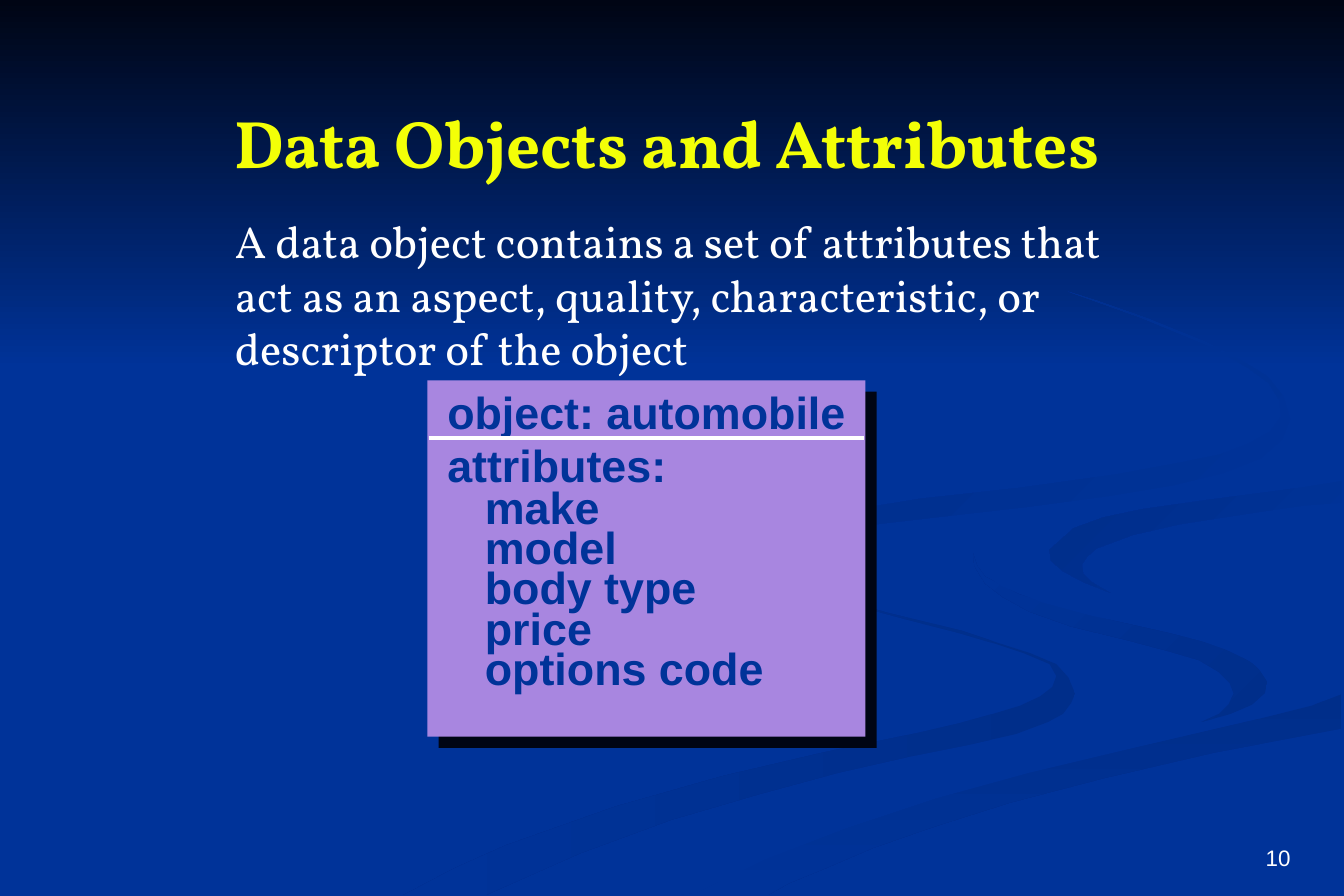
from lxml.etree import SubElement
from pptx import Presentation
from pptx.dml.color import RGBColor
from pptx.enum.shapes import MSO_CONNECTOR as Connector, MSO_SHAPE as Shape
from pptx.enum.text import MSO_ANCHOR as Anchor, PP_ALIGN as Align
from pptx.oxml.ns import qn
from pptx.util import Pt

PX = 9144
WIDTH, HEIGHT = 1000, 666.5
BLUE, NIGHT, SWIRL = "003399", "000514", "002E8A"
WHITE, YELLOW, PURPLE = "FFFFFF", "F3FF07", "A886E0"
SERIF, SANS = "Vollkorn", "Arial"

LOWER_RIBBON = [
    (781, 492), (767, 486), (745, 479), (715, 469), (661, 456), (626, 446), (602, 436),
    (587, 427), (579, 421), (575, 415), (575, 408), (570, 416), (572, 423), (581, 430),
    (602, 440), (631, 449), (679, 462), (714, 471), (741, 479), (762, 486), (781, 494),
    (786, 503), (783, 511), (774, 518), (759, 525), (739, 531), (714, 538), (684, 545),
    (616, 559), (539, 577), (458, 600), (376, 629), (338, 646), (300, 666), (361, 666),
    (431, 635), (499, 610), (564, 591), (623, 575), (676, 563), (721, 554), (756, 546),
    (780, 537), (791, 531), (797, 523), (800, 516), (795, 504), (786, 494)]
INNER_CURL = [
    (943, 507), (939, 500), (930, 492), (905, 480), (870, 471), (830, 462), (792, 452),
    (758, 442), (733, 429), (727, 421), (724, 412), (725, 421), (733, 434), (746, 444),
    (766, 455), (797, 466), (838, 476), (868, 484), (892, 491), (907, 500), (915, 508),
    (918, 516), (914, 524), (907, 531), (894, 537), (916, 531), (932, 524), (941, 516)]
FOOT_BAND = [
    (519, 664), (503, 666), (571, 666), (587, 657), (614, 646), (649, 631), (695, 615),
    (752, 597), (821, 579), (903, 560), (998, 542), (998, 516), (976, 525), (936, 535),
    (867, 551), (797, 567), (764, 575), (696, 594), (630, 616), (569, 639)]
MAIN_RIBBON = [
    (725, 412), (731, 426), (745, 436), (775, 448), (812, 458), (851, 466), (889, 475),
    (920, 486), (935, 495), (943, 507), (942, 515), (931, 525), (911, 533), (881, 541),
    (843, 549), (780, 563), (704, 582), (619, 608), (526, 644), (477, 666), (503, 666),
    (519, 664), (570, 639), (630, 616), (696, 594), (765, 575), (832, 559), (904, 542),
    (951, 531), (986, 521), (999, 516), (999, 479), (959, 472), (904, 461), (848, 448),
    (804, 431), (786, 421), (781, 411), (786, 403), (800, 393), (822, 385), (850, 379),
    (899, 372), (968, 363), (999, 358), (999, 344), (942, 354), (874, 363), (808, 371),
    (770, 379), (742, 390), (730, 400)]
UPPER_CURL = [
    (781, 409), (782, 417), (791, 425), (806, 433), (826, 441), (812, 433), (806, 427),
    (805, 420), (809, 414), (816, 408), (843, 398), (878, 390), (936, 381), (971, 376),
    (998, 374), (998, 358), (967, 363), (898, 372), (849, 379), (821, 385), (799, 393)]
TOP_RIBBON = [
    (695, 385), (765, 377), (825, 369), (873, 361), (910, 352), (938, 341), (954, 327),
    (960, 312), (955, 295), (943, 280), (922, 267), (896, 254), (854, 237), (817, 224),
    (795, 217), (848, 236), (899, 257), (929, 274), (944, 285), (952, 298), (953, 310),
    (945, 321), (929, 330), (908, 338), (879, 344), (830, 353), (758, 363), (685, 371),
    (636, 379), (597, 388), (570, 399), (561, 412), (566, 422), (578, 431), (595, 437),
    (618, 444), (599, 436), (586, 427), (582, 419), (585, 411), (598, 404), (620, 397),
    (652, 390)]
SWIRLS = [
    (LOWER_RIBBON, SWIRL, BLUE, 180), (INNER_CURL, SWIRL, BLUE, 225),
    (FOOT_BAND, SWIRL, BLUE, 90), (MAIN_RIBBON, BLUE, BLUE, 0),
    (UPPER_CURL, BLUE, SWIRL, 225), (TOP_RIBBON, BLUE, SWIRL, 225)]


def rgb(value):
    """Turn a hex string into a colour."""
    return RGBColor.from_string(value)


def emu(*lengths):
    """Turn px lengths into EMU."""
    return [round(length * PX) for length in lengths]


def blend(shape, first, last, angle):
    """Fill a shape with a two-colour gradient running at a clockwise angle."""
    shape.shadow.inherit = False
    shape.line.fill.background()
    shape.fill.gradient()
    shape.fill.gradient_angle = (360 - angle) % 360
    for stop, colour in zip(shape.fill.gradient_stops, (first, last)):
        stop.color.rgb = rgb(colour)


def add_text(page, box, lines, font, size, colour, bold=False, align=Align.LEFT,
             anchor=Anchor.TOP, wrap=True):
    """Add a text box of (text, indent px, line spacing) paragraphs."""
    frame = page.shapes.add_textbox(*emu(*box)).text_frame
    frame.word_wrap = wrap
    frame.vertical_anchor = anchor
    for index, (text, indent, spacing) in enumerate(lines):
        para = frame.add_paragraph() if index else frame.paragraphs[0]
        para.alignment = align
        para.line_spacing = spacing
        if indent:
            para._p.get_or_add_pPr().set("marL", str(indent * PX))
        span = para.add_run()
        span.text = text
        span.font.name = font
        span.font.size = Pt(size)
        span.font.bold = bold
        span.font.color.rgb = rgb(colour)


def add_backdrop(page, box):
    """Paint the blue ground, the dark upper fade and the swirls."""
    left, top, width, _ = box
    page.background.fill.solid()
    page.background.fill.fore_color.rgb = rgb(BLUE)
    fade = page.shapes.add_shape(Shape.RECTANGLE, *emu(left, top, width, 274))
    blend(fade, NIGHT, BLUE, 90)
    for points, first, last, angle in SWIRLS:
        start, *rest = [(left + x, top + y) for x, y in points]
        builder = page.shapes.build_freeform(*start, scale=PX)
        builder.add_line_segments(rest, close=True)
        blend(builder.convert_to_shape(), first, last, angle)


def add_shadow(shape, colour, distance, angle):
    """Give a shape a hard offset shadow."""
    shape.shadow.inherit = False
    effects = shape._element.spPr.find(qn("a:effectLst"))
    shadow = SubElement(effects, qn("a:outerShdw"), dist=str(Pt(distance)),
                        dir=str(angle * 60000), algn="ctr", rotWithShape="0")
    SubElement(shadow, qn("a:srgbClr"), val=colour)


def add_object_card(page, box, name, attributes):
    """Draw a data object as a card with a ruled heading and its attributes."""
    left, top, width, height = box
    card = page.shapes.add_shape(Shape.RECTANGLE, *emu(*box))
    card.fill.solid()
    card.fill.fore_color.rgb = rgb(PURPLE)
    card.line.fill.background()
    add_shadow(card, NIGHT, 8.5, 45)
    lines = [(f"object: {name}", 0, None), ("attributes:", 0, None)]
    lines += [(attribute, 28, 0.75) for attribute in attributes]
    add_text(page, (left + 5, top - 2, width - 10, height - 25), lines, SANS, 24, BLUE,
             bold=True, wrap=False)
    rule = page.shapes.add_connector(
        Connector.STRAIGHT, *emu(left + 1, top + 43, left + width - 1, top + 43))
    rule.line.color.rgb = rgb(WHITE)
    rule.line.width = Pt(2)
    SubElement(rule._element.spPr, qn("a:effectLst"))


def main():
    """Build and save the slide."""
    deck = Presentation()
    deck.slide_width, deck.slide_height = emu(WIDTH, HEIGHT)
    page = deck.slides.add_slide(deck.slide_layouts[6])
    add_backdrop(page, (0, 0, WIDTH, HEIGHT))
    add_text(page, (142, 43, 708, 125), [("Data Objects and Attributes", 0, None)],
             SERIF, 36, YELLOW, bold=True, align=Align.CENTER, anchor=Anchor.MIDDLE)
    definition = ("A data object contains a set of attributes that act as an aspect, "
                  "quality, characteristic, or descriptor of the object")
    add_text(page, (165, 154, 693, 130), [(definition, 0, None)], SERIF, 24, WHITE)
    add_object_card(page, (318, 283, 326, 265), "automobile",
                    ["make", "model", "body type", "price", "options code"])
    add_text(page, (901, 607, 69, 46), [("10", 0, None)], SANS, 12, WHITE,
             align=Align.RIGHT, anchor=Anchor.BOTTOM)
    deck.save("out.pptx")


if __name__ == "__main__":
    main()
